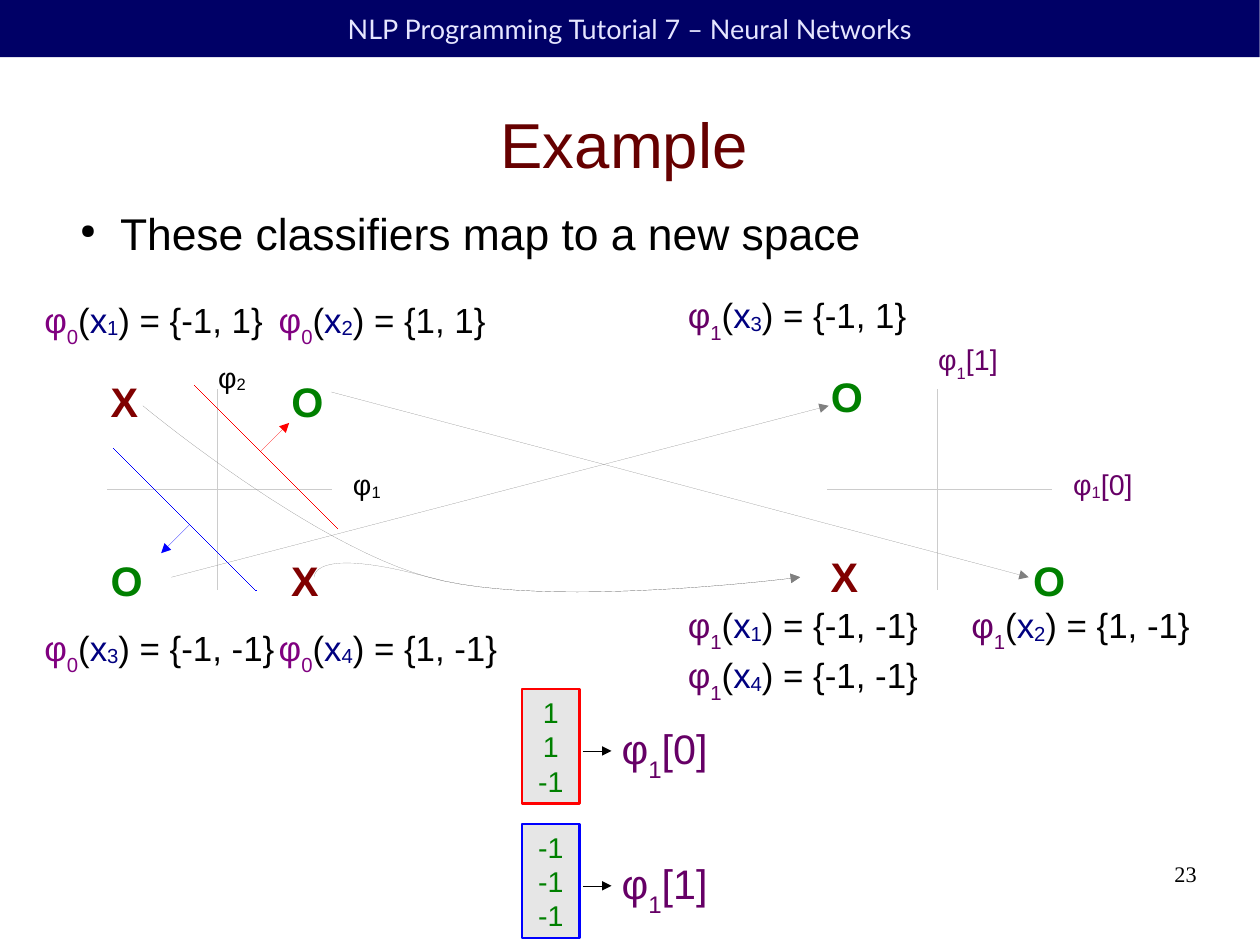
"""Builds a slide showing how two classifiers map four points to a new space."""
from lxml import etree
from pptx import Presentation
from pptx.dml.color import RGBColor
from pptx.enum.shapes import MSO_CONNECTOR, MSO_SHAPE
from pptx.enum.text import MSO_ANCHOR, MSO_AUTO_SIZE, PP_ALIGN
from pptx.oxml.ns import qn
from pptx.util import Cm, Inches, Pt

STRAIGHT, RECT = MSO_CONNECTOR.STRAIGHT, MSO_SHAPE.RECTANGLE
LEFT, CENTER, RIGHT = PP_ALIGN.LEFT, PP_ALIGN.CENTER, PP_ALIGN.RIGHT
MIDDLE, FIT = MSO_ANCHOR.MIDDLE, MSO_AUTO_SIZE.SHAPE_TO_FIT_TEXT

COLORS = {
    "navy": "000066", "lavender": "E6E6FF", "maroon": "660000", "black": "000000",
    "X": "800000", "O": "008000", "input": "800080", "hidden": "660066",
    "point": "000080", "axis": "CCCCCC", "mapping": "808080", "panel": "E6E6E6",
    "red": "FF0000", "blue": "0000FF",
}
HEADER = "NLP Programming Tutorial 7 – Neural Networks"
TITLE = "Example"
BULLET = "These classifiers map to a new space"
PAGE = "23"

CELL = 0.1
COLS = 110.2
LOW, HIGH = -8, -33
AXIS_ROW = 42.8
PLOT_COLS = {"input": 19, "hidden": 82}

MARKS = [
    ("input", "X", -10.3, -10.4), ("input", "O", 5.5, -10.4),
    ("input", "O", -10.3, 5.3), ("input", "X", 5.5, 5.3),
    ("hidden", "O", -10.3, -10.8), ("hidden", "X", -10.3, 4.9),
    ("hidden", "O", 7.4, 5.3),
]
FORMULAS = [
    ("input", "1", "{-1, 1}", 2.9, 25.6), ("input", "2", "{1, 1}", 23.4, 25.6),
    ("input", "3", "{-1, -1}", 2.9, 54.3), ("input", "4", "{1, -1}", 23.4, 54.3),
    ("hidden", "3", "{-1, 1}", 59.2, 25.2), ("hidden", "1", "{-1, -1}", 59.2, 52.3),
    ("hidden", "2", "{1, -1}", 84, 52.3), ("hidden", "4", "{-1, -1}", 59.2, 56.7),
]
AXIS_LABELS = [
    ("input", "1", LOW, "", 10.9, -2.4), ("input", "2", LOW, "", -0.9, -11.8),
    ("hidden", "1", LOW, "[0]", 10.9, -2.4), ("hidden", "1", HIGH, "[1]", -0.9, -13.4),
]
CLASSIFIERS = [
    ("red", ["1", "1", "-1"], "[0]", (17, 33.7), 1),
    ("blue", ["-1", "-1", "-1"], "[1]", (22.4, 51.7), -1),
]
BOUNDARY, FOOT, REACH = 12.5, 5.8, 2.5
CROSSINGS = [((29, 34.3), (90, 50.5)), ((15, 50.5), (72.5, 35.5))]
CURVE_STARTS = [(12.5, 35.5), (27.5, 50.5)]
CURVE_BEND = [(27.2, 47.7), (37.5, 50.5)]
CURVE_END = [(37.5, 50.5), (47.8, 53.4), (70, 50.5), (70, 50.5)]
CURVE_STEPS = 24


def grid(*cells):
    return [Inches(cell * CELL) for cell in cells]


def color(name):
    return RGBColor.from_string(COLORS[name])


def style(paragraph, size, tint, face="Arial", bold=False, align=LEFT):
    paragraph.alignment = align
    font = paragraph.font
    font.name, font.size, font.bold = face, Pt(size), bold
    font.color.rgb = color(tint)


def set_insets(frame, side, top):
    frame.margin_left = frame.margin_right = Inches(side)
    frame.margin_top = frame.margin_bottom = Inches(top)


def plain_box(slide, box, text):
    frame = slide.shapes.add_textbox(*grid(*box)).text_frame
    frame.word_wrap = True
    set_insets(frame, 0, 0)
    frame.text = text
    return frame.paragraphs[0]


def label(slide, box, size, runs, bold=False):
    frame = slide.shapes.add_textbox(*grid(*box)).text_frame
    frame.word_wrap, frame.auto_size = False, FIT
    paragraph = frame.paragraphs[0]
    style(paragraph, size, runs[0][1], bold=bold)
    for text, tint, baseline in runs:
        run = paragraph.add_run()
        run.text = text
        run.font.color.rgb = color(tint)
        if baseline:
            run.font._element.set("baseline", str(baseline * 1000))


def phi(index, tint, baseline, suffix=""):
    runs = [("φ", tint, 0), (index, tint, baseline)]
    return runs + [(suffix, tint, 0)] if suffix else runs


def style_line(shape, tint, arrow):
    shape.line.color.rgb = color(tint)
    outline = shape.line._get_or_add_ln()
    outline.set("w", "0")
    if arrow:
        etree.SubElement(outline, qn("a:tailEnd"), type="triangle")


def connect(shapes, start, end, tint, arrow=False):
    connector = shapes.add_connector(STRAIGHT, *grid(*start, *end))
    style_line(connector, tint, arrow)
    etree.SubElement(connector._element.spPr, qn("a:effectLst"))


def bezier(a, b, c, d):
    for step in range(1, CURVE_STEPS + 1):
        t = step / CURVE_STEPS
        u = 1 - t
        yield tuple(u**3 * p + 3 * u * u * t * q + 3 * u * t * t * r + t**3 * s
                    for p, q, r, s in zip(a, b, c, d))


def draw_curve(slide, start):
    points = [*bezier(start, start, *CURVE_BEND), *bezier(*CURVE_END)]
    builder = slide.shapes.build_freeform(*grid(*start), scale=1.0)
    builder.add_line_segments([grid(*point) for point in points], close=False)
    curve = builder.convert_to_shape()
    curve.shadow.inherit = False
    curve.fill.background()
    style_line(curve, "mapping", True)


def panel(slide, box, fill):
    shape = slide.shapes.add_shape(RECT, *grid(*box))
    shape.shadow.inherit = False
    shape.fill.solid()
    shape.fill.fore_color.rgb = color(fill)
    shape.text_frame.vertical_anchor = MIDDLE
    return shape


def draw_heading(slide):
    header = panel(slide, (0, 0, COLS, 5), "navy")
    header.line.fill.background()
    header.text_frame.text = HEADER
    style(header.text_frame.paragraphs[0], 17, "lavender", "Lato", align=CENTER)

    title = slide.shapes.title
    title.left, title.top, title.width, title.height = grid(5, 6.2, 99.2, 12.7)
    title.text_frame.text = TITLE
    title.text_frame.vertical_anchor = MIDDLE
    set_insets(title.text_frame, 0, 0)
    style(title.text_frame.paragraphs[0], 40, "maroon", align=CENTER)

    bullet = plain_box(slide, (5.8, 18, 99.2, 4.3), BULLET)
    properties = bullet._p.get_or_add_pPr()
    properties.set("marL", str(Inches(0.47)))
    properties.set("indent", str(Inches(-0.35)))
    tint = etree.SubElement(properties, qn("a:buClr"))
    etree.SubElement(tint, qn("a:srgbClr"), val=COLORS["black"])
    etree.SubElement(properties, qn("a:buSzPct"), val="45000")
    etree.SubElement(properties, qn("a:buChar"), char="●")
    style(bullet, 28, "black")

    page = plain_box(slide, (79, 75.3, 25.7, 5.7), PAGE)
    style(page, 14, "black", "Times New Roman", align=RIGHT)


def draw_spaces(slide):
    for col in PLOT_COLS.values():
        connect(slide.shapes, (col, 34.1), (col, 51.6), "axis")
        connect(slide.shapes, (col - 9.6, AXIS_ROW), (col + 10, AXIS_ROW), "axis")
    for space, mark, dx, dy in MARKS:
        box = (PLOT_COLS[space] + dx, AXIS_ROW + dy, 4.8 if mark == "O" else 4.4, 5)
        label(slide, box, 26, [(mark, mark, 0)], bold=True)
    for space, index, baseline, suffix, dx, dy in AXIS_LABELS:
        tint = "hidden" if suffix else "black"
        box = (PLOT_COLS[space] + dx, AXIS_ROW + dy, 7.2 if suffix else 4.4, 4.6)
        label(slide, box, 18, phi(index, tint, baseline, suffix))
    for space, point, value, col, row in FORMULAS:
        layer = "0" if space == "input" else "1"
        runs = phi(layer, space, HIGH) + [
            ("(", "black", 0), ("x", "point", 0), (point, "point", LOW),
            (f") = {value}", "black", 0)]
        label(slide, (col, row, 20.1 + value.count("-"), 5.4), 22, runs)


def draw_classifiers(slide):
    for order, (tint, weights, suffix, (col, row), side) in enumerate(CLASSIFIERS):
        group = slide.shapes.add_group_shape()
        end = (col + side * BOUNDARY, row + side * BOUNDARY)
        foot = (col + side * FOOT, row + side * FOOT)
        tip = (foot[0] + side * REACH, foot[1] - side * REACH)
        connect(group.shapes, (col, row), end, tint)
        connect(group.shapes, foot, tip, tint, True)

        top = 60.3 + 11.8 * order
        unit = panel(slide, (45.7, top, 5, 10), "panel")
        unit.line.color.rgb = color(tint)
        unit.line.width = Pt(1.45)
        unit.text_frame.word_wrap = False
        unit.text_frame.text = "\n".join(weights)
        for weight in unit.text_frame.paragraphs:
            style(weight, 18, "O", align=CENTER)
        connect(slide.shapes, (51, top + 5.4), (53.5, top + 5.4), "black", True)
        label(slide, (53.4, top + 2.5, 9.5, 6.2), 26, phi("1", "hidden", HIGH, suffix))


def main():
    deck = Presentation()
    deck.slide_width, deck.slide_height = Cm(28), Cm(21)
    slide = deck.slides.add_slide(deck.slide_layouts[5])
    draw_heading(slide)
    draw_spaces(slide)
    draw_classifiers(slide)
    for start, end in CROSSINGS:
        connect(slide.shapes, start, end, "mapping", True)
    for start in CURVE_STARTS:
        draw_curve(slide, start)
    deck.save("out.pptx")


if __name__ == "__main__":
    main()
